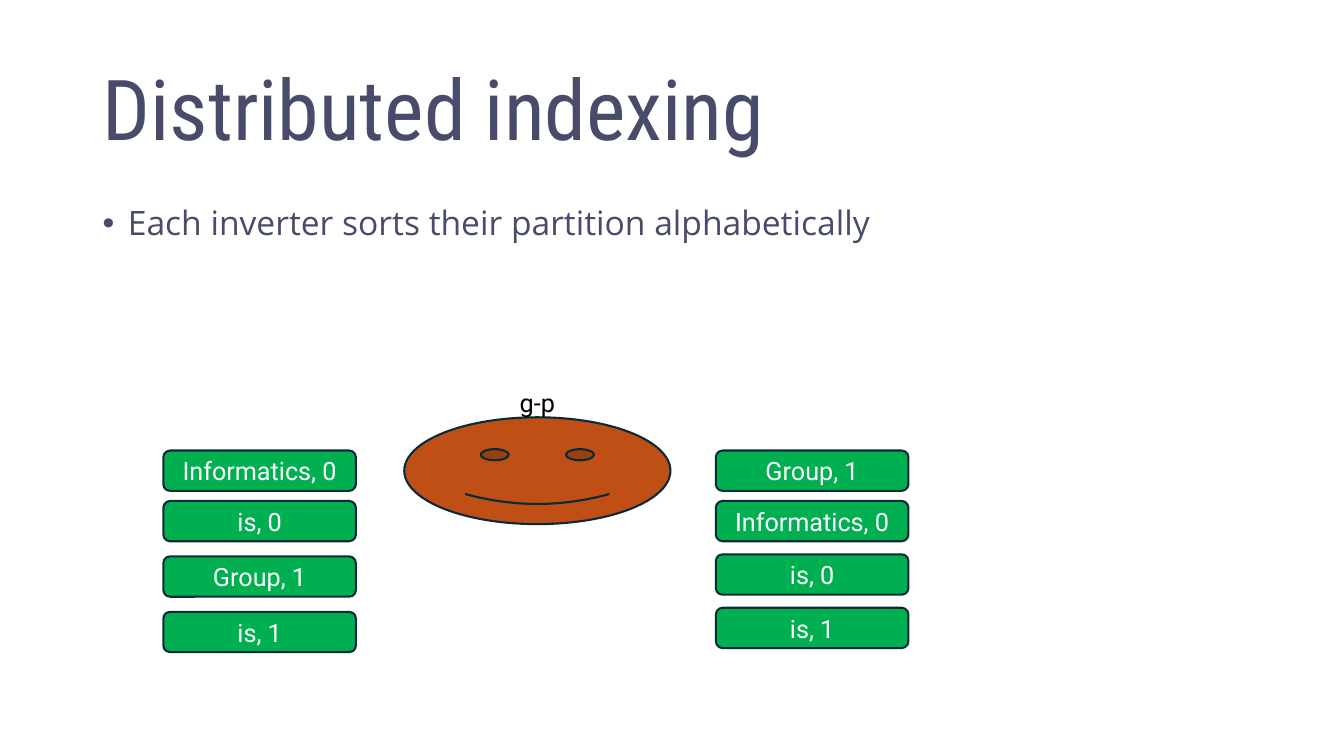
from dataclasses import dataclass

from lxml.etree import SubElement
from pptx import Presentation
from pptx.dml.color import RGBColor
from pptx.enum.shapes import MSO_SHAPE as Preset
from pptx.enum.text import MSO_ANCHOR as Anchor, MSO_AUTO_SIZE as AutoSize, PP_ALIGN as Align
from pptx.oxml.ns import qn
from pptx.shapes.autoshape import Shape
from pptx.slide import Slide
from pptx.text.text import TextFrame, _Paragraph as Paragraph
from pptx.util import Inches, Pt

INK = "484B6A"
OUTLINE = "092A39"
GREEN = "00B050"
ORANGE = "C04F15"
WHITE = "FFFFFF"
BLACK = "000000"

POSTING_WIDTH = 1.91
POSTING_HEIGHT = 0.4


@dataclass(frozen=True)
class Posting:
    term: str
    top: float


@dataclass(frozen=True)
class PostingList:
    left: float
    postings: tuple[Posting, ...]


UNSORTED = PostingList(1.62, (
    Posting("Informatics, 0", 4.47),
    Posting("is, 0", 4.97),
    Posting("Group, 1", 5.52),
    Posting("is, 1", 6.07),
))
SORTED = PostingList(7.1, (
    Posting("Group, 1", 4.47),
    Posting("Informatics, 0", 4.97),
    Posting("is, 0", 5.5),
    Posting("is, 1", 6.03),
))


def rgb(code: str) -> RGBColor:
    return RGBColor.from_string(code)


def write(frame: TextFrame, text: str, font: str, size: float, color: str,
          align: Align = Align.LEFT) -> Paragraph:
    """Add one run to the first paragraph of the frame and return that paragraph."""
    frame.word_wrap = True
    paragraph = frame.paragraphs[0]
    paragraph.alignment = align
    run = paragraph.add_run()
    run.text = text
    run.font.name = font
    run.font.size = Pt(size)
    run.font.color.rgb = rgb(color)
    return paragraph


def add_bullet(paragraph: Paragraph, indent: float) -> None:
    properties = paragraph._p.get_or_add_pPr()
    properties.set("marL", str(Inches(indent)))
    properties.set("indent", str(-Inches(indent)))
    SubElement(properties, qn("a:buFont"), typeface="Arial")
    SubElement(properties, qn("a:buChar"), char="•")


def add_outlined(slide: Slide, preset: Preset, left: float, top: float,
                 width: float, height: float, fill: str) -> Shape:
    shape = slide.shapes.add_shape(
        preset, Inches(left), Inches(top), Inches(width), Inches(height))
    shape.shadow.inherit = False
    shape.fill.solid()
    shape.fill.fore_color.rgb = rgb(fill)
    shape.line.color.rgb = rgb(OUTLINE)
    shape.line.width = Pt(1.5)
    return shape


def add_title(slide: Slide) -> None:
    title = slide.shapes.title
    title.left, title.top = Inches(0.92), Inches(0.4)
    title.width, title.height = Inches(11.5), Inches(1.45)
    title.text_frame.auto_size = AutoSize.NONE
    title.text_frame.vertical_anchor = Anchor.MIDDLE
    heading = write(title.text_frame, "Distributed indexing", "Roboto Condensed", 60, INK)
    heading.line_spacing = 0.9


def add_explanation(slide: Slide) -> None:
    body = slide.shapes.add_textbox(Inches(0.92), Inches(2), Inches(11.5), Inches(5.3))
    sentence = write(body.text_frame, "Each inverter sorts their partition alphabetically",
                     "Open Sans", 24, INK)
    sentence.line_spacing = 0.9
    add_bullet(sentence, 0.25)


def add_inverter(slide: Slide) -> None:
    add_outlined(slide, Preset.SMILEY_FACE, 4.01, 4.14, 2.64, 1.06, ORANGE)
    partition = slide.shapes.add_textbox(Inches(4.6), Inches(3.79), Inches(1.46), Inches(0.4))
    partition.text_frame.auto_size = AutoSize.SHAPE_TO_FIT_TEXT
    write(partition.text_frame, "g-p", "Roboto", 18, BLACK, Align.CENTER)


def add_posting_list(slide: Slide, posting_list: PostingList) -> None:
    for posting in posting_list.postings:
        card = add_outlined(slide, Preset.ROUNDED_RECTANGLE, posting_list.left, posting.top,
                            POSTING_WIDTH, POSTING_HEIGHT, GREEN)
        card.text_frame.vertical_anchor = Anchor.MIDDLE
        write(card.text_frame, posting.term, "Roboto", 18, WHITE, Align.CENTER)


def main() -> None:
    deck = Presentation()
    deck.slide_width, deck.slide_height = Inches(13.33), Inches(7.5)
    slide = deck.slides.add_slide(deck.slide_layouts.get_by_name("Title Only"))
    add_title(slide)
    add_explanation(slide)
    add_inverter(slide)
    for posting_list in (UNSORTED, SORTED):
        add_posting_list(slide, posting_list)
    deck.save("out.pptx")


if __name__ == "__main__":
    main()
